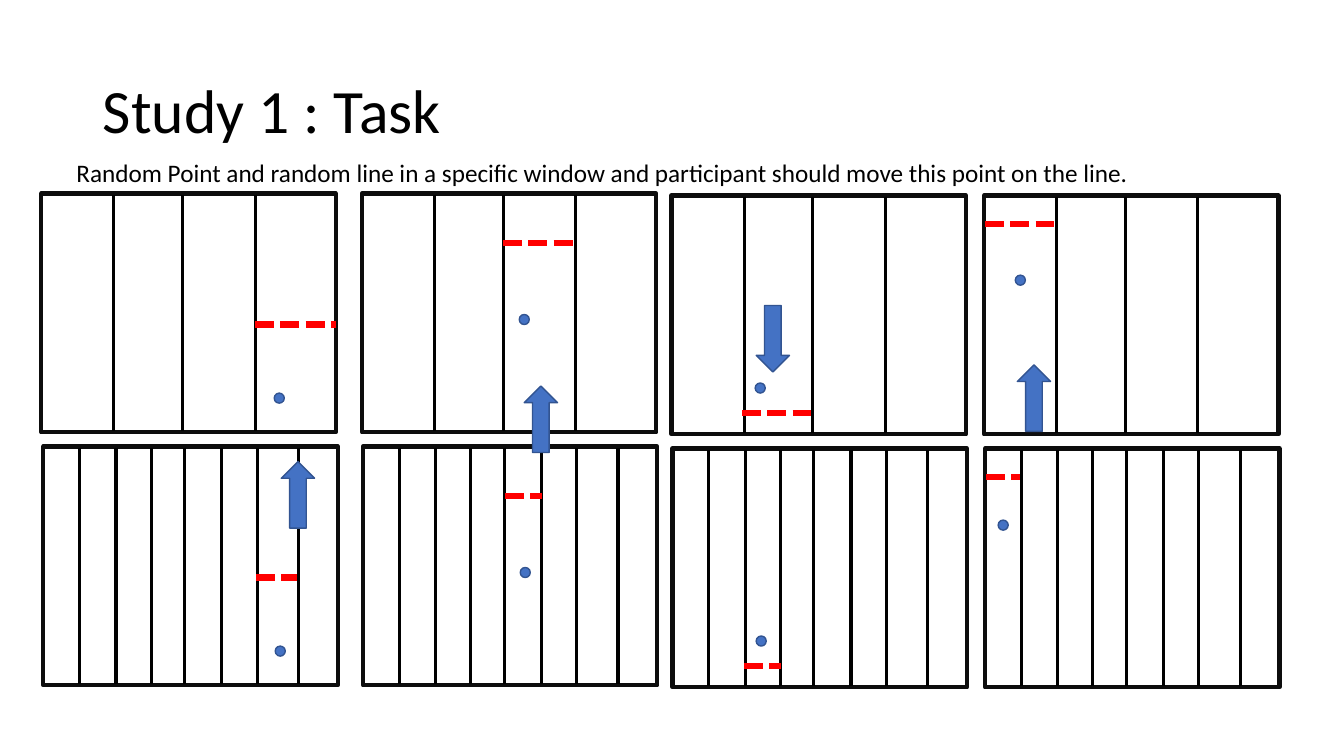
from dataclasses import dataclass

from lxml import etree
from pptx import Presentation
from pptx.dml.color import RGBColor
from pptx.enum.dml import MSO_LINE
from pptx.enum.shapes import MSO_CONNECTOR, MSO_SHAPE
from pptx.enum.text import MSO_ANCHOR, MSO_AUTO_SIZE, PP_ALIGN
from pptx.oxml.ns import qn
from pptx.util import Inches, Pt

RECTANGLE, OVAL, UP_ARROW = MSO_SHAPE.RECTANGLE, MSO_SHAPE.OVAL, MSO_SHAPE.UP_ARROW
STRAIGHT = MSO_CONNECTOR.STRAIGHT
SQUARE_DOT = MSO_LINE.SQUARE_DOT
MIDDLE, LEFT = MSO_ANCHOR.MIDDLE, PP_ALIGN.LEFT
FIT_SHAPE = MSO_AUTO_SIZE.SHAPE_TO_FIT_TEXT

COLORS = {
    "text": "000000",
    "frame": "0D0D0D",
    "divider": "000000",
    "target": "FF0000",
    "marker": "4472C4",
    "marker_line": "325491",
}
WINDOW_WIDTH, WINDOW_HEIGHT = 2.92, 2.37
DIVIDER_HEIGHT = 2.35
POINT_SIZE = 0.1
ARROW_WIDTH, ARROW_HEIGHT = 0.33, 0.66
QUARTERS = (0.72, 1.4, 2.12)
EIGHTHS = tuple(sorted(QUARTERS + (0.36, 1.07, 1.77, 2.53)))


@dataclass
class Window:
    """A task window; target and point positions are offsets from its corner."""
    left: float
    top: float
    dividers: tuple[float, ...]
    target_start: float
    target_end: float
    target_y: float
    point_x: float
    point_y: float


@dataclass
class Arrow:
    left: float
    top: float
    rotation: int = 0


WINDOWS = [
    Window(0.41, 1.92, QUARTERS, 2.12, 2.92, 1.3, 2.31, 1.98),
    Window(3.59, 1.92, QUARTERS, 1.4, 2.12, 0.49, 1.56, 1.2),
    Window(6.66, 1.94, QUARTERS, 0.7, 1.41, 2.16, 0.83, 1.86),
    Window(9.76, 1.94, QUARTERS, 0.01, 0.72, 0.28, 0.31, 0.79),
    Window(0.43, 4.43, EIGHTHS, 2.11, 2.52, 1.3, 2.3, 1.98),
    Window(3.6, 4.43, EIGHTHS, 1.41, 1.78, 0.49, 1.56, 1.2),
    Window(6.67, 4.45, EIGHTHS, 0.71, 1.08, 2.16, 0.83, 1.86),
    Window(9.77, 4.45, EIGHTHS, 0.01, 0.35, 0.28, 0.13, 0.71),
]
ARROWS = [
    Arrow(2.79, 4.58),
    Arrow(5.2, 3.83),
    Arrow(7.5, 3.03, rotation=180),
    Arrow(10.09, 3.62),
]


def color(name: str) -> RGBColor:
    return RGBColor.from_string(COLORS[name])


def set_text(shape, text: str, size: int, frame_format: dict, paragraph_format: dict) -> None:
    frame = shape.text_frame
    frame.text = text
    paragraph = frame.paragraphs[0]
    font_format = {"name": "Calibri", "size": Pt(size)}
    for target, values in (
        (frame, frame_format),
        (paragraph, paragraph_format),
        (paragraph.font, font_format),
    ):
        for attribute, value in values.items():
            setattr(target, attribute, value)
    paragraph.font.color.rgb = color("text")


def add_line(shapes, start: tuple[float, float], end: tuple[float, float],
             color_name: str, width: float):
    connector = shapes.add_connector(STRAIGHT, *map(Inches, start + end))
    connector.line.color.rgb = color(color_name)
    connector.line.width = Pt(width)
    etree.SubElement(connector._element.spPr, qn("a:effectLst"))
    return connector


def add_outlined_shape(shapes, kind, box: tuple[float, float, float, float],
                       line_name: str, line_width: float, fill_name: str = ""):
    """Add a shape, left unfilled when no fill colour is named."""
    shape = shapes.add_shape(kind, *map(Inches, box))
    shape.shadow.inherit = False
    shape.line.color.rgb = color(line_name)
    shape.line.width = Pt(line_width)
    if fill_name:
        shape.fill.solid()
        shape.fill.fore_color.rgb = color(fill_name)
    else:
        shape.fill.background()
    return shape


def add_marker(shapes, kind, box: tuple[float, float, float, float]):
    return add_outlined_shape(shapes, kind, box, "marker_line", 1, "marker")


def add_window(slide, window: Window) -> None:
    shapes = slide.shapes.add_group_shape().shapes
    left, top = window.left, window.top
    add_outlined_shape(shapes, RECTANGLE, (left, top, WINDOW_WIDTH, WINDOW_HEIGHT), "frame", 3)
    for offset in window.dividers:
        x, y = left + offset, top + 0.01
        add_line(shapes, (x, y), (x, y + DIVIDER_HEIGHT), "divider", 2.25)
    add_marker(shapes, OVAL,
               (left + window.point_x, top + window.point_y, POINT_SIZE, POINT_SIZE))
    target_y = top + window.target_y
    target = add_line(shapes, (left + window.target_start, target_y),
                      (left + window.target_end, target_y), "target", 4.5)
    target.line.dash_style = SQUARE_DOT


def main() -> None:
    presentation = Presentation()
    presentation.slide_width, presentation.slide_height = Inches(13.33), Inches(7.5)
    slide = presentation.slides.add_slide(presentation.slide_layouts[5])

    title = slide.shapes.title
    title.left, title.top = Inches(0.92), Inches(0.4)
    title.width, title.height = Inches(11.5), Inches(1.45)
    set_text(title, "Study 1 : Task", 44, {"vertical_anchor": MIDDLE},
             {"alignment": LEFT, "line_spacing": 0.9})

    caption = slide.shapes.add_textbox(*map(Inches, (0.66, 1.51, 12.02, 0.4)))
    set_text(caption,
             "Random Point and random line in a specific window and participant "
             "should move this point on the line.",
             18, {"word_wrap": True, "auto_size": FIT_SHAPE}, {"alignment": LEFT})

    for window in WINDOWS:
        add_window(slide, window)
    for arrow in ARROWS:
        shape = add_marker(slide.shapes, UP_ARROW,
                           (arrow.left, arrow.top, ARROW_WIDTH, ARROW_HEIGHT))
        shape.rotation = arrow.rotation

    presentation.save("out.pptx")


if __name__ == "__main__":
    main()
